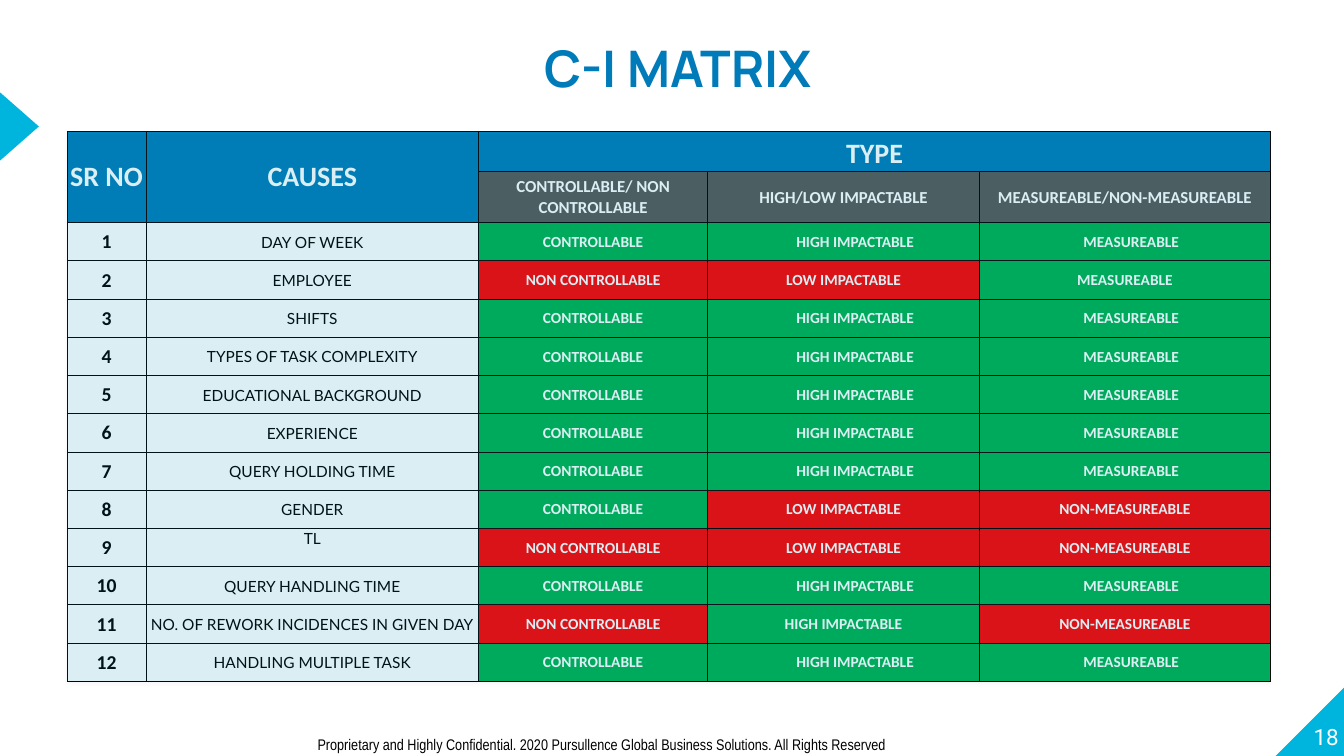
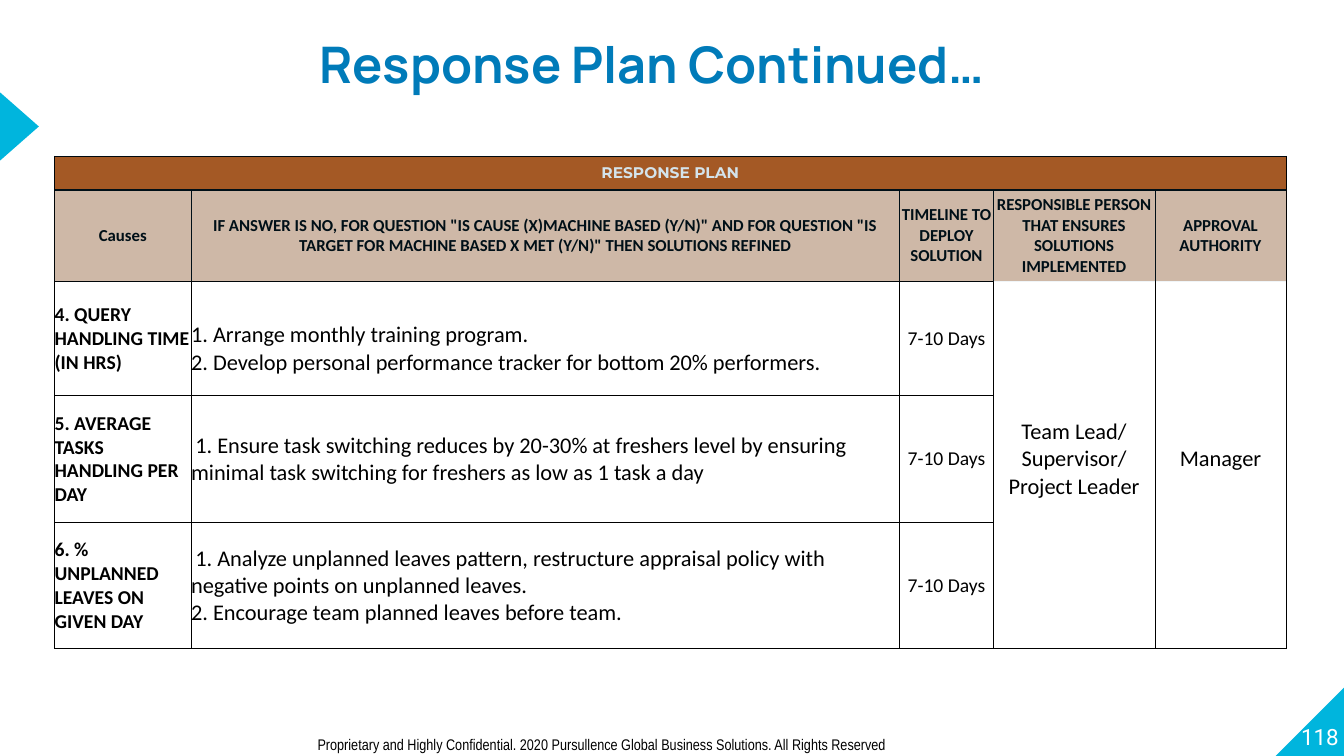
from lxml.etree import SubElement
from pptx import Presentation
from pptx.dml.color import RGBColor
from pptx.enum.shapes import MSO_SHAPE
from pptx.enum.text import MSO_ANCHOR, MSO_AUTO_SIZE, PP_ALIGN
from pptx.oxml.ns import qn
from pptx.util import Emu, Pt

EMU_PER_PX = 9525  # a 1280 x 720 px slide

BLUE = RGBColor(0x00, 0x7B, 0xB9)
CYAN = RGBColor(0x00, 0xB5, 0xDD)
NAVY = RGBColor(0x00, 0x5C, 0x8B)
GRAY = RGBColor(0x59, 0x59, 0x59)
GREEN = RGBColor(0x00, 0xB0, 0x50)
RED = RGBColor(0xFF, 0x00, 0x00)
BROWN = RGBColor(0xC6, 0x59, 0x11)
PEACH = RGBColor(0xF8, 0xCB, 0xAD)
WHITE = RGBColor(0xFF, 0xFF, 0xFF)
BLACK = RGBColor(0x00, 0x00, 0x00)

FOOTER = ("Proprietary and Highly Confidential. 2020 Pursullence Global "
          "Business Solutions. All Rights Reserved")

# Rating code: label, fill, extra left margin in px
RATINGS = {
    "C": ("CONTROLLABLE", GREEN, 0),
    "N": ("NON CONTROLLABLE", RED, 0),
    "H": ("HIGH IMPACTABLE", GREEN, 22),
    "h": ("HIGH IMPACTABLE", GREEN, 0),
    "L": ("LOW IMPACTABLE", RED, 0),
    "M": ("MEASUREABLE", GREEN, 12),
    "m": ("MEASUREABLE", GREEN, 0),
    "X": ("NON-MEASUREABLE", RED, 0),
}
CAUSES = [
    ("DAY OF WEEK", "CHM"),
    ("EMPLOYEE", "NLm"),
    ("SHIFTS", "CHM"),
    ("TYPES OF TASK COMPLEXITY", "CHM"),
    ("EDUCATIONAL BACKGROUND", "CHM"),
    ("EXPERIENCE", "CHM"),
    ("QUERY HOLDING TIME", "CHM"),
    ("GENDER", "CLX"),
    ("TL", "NLX"),
    ("QUERY HANDLING TIME", "CHM"),
    ("NO. OF REWORK INCIDENCES IN GIVEN DAY", "NhX"),
    ("HANDLING MULTIPLE TASK", "CHM"),
]
RATING_HEADS = ["CONTROLLABLE/ NON CONTROLLABLE", "HIGH/LOW IMPACTABLE",
                "MEASUREABLE/NON-MEASUREABLE"]

PLAN_HEADS = [
    "Causes",
    'IF ANSWER IS NO, FOR QUESTION "IS CAUSE (X)MACHINE BASED (Y/N)" AND FOR '
    'QUESTION "IS TARGET FOR MACHINE BASED X MET (Y/N)" THEN SOLUTIONS REFINED',
    "TIMELINE TO DEPLOY SOLUTION",
    "RESPONSIBLE PERSON THAT ENSURES SOLUTIONS IMPLEMENTED",
    "APPROVAL AUTHORITY",
]
# Cause, solutions, top margin and first-line indent of the solutions in px
PLAN = [
    ("4. QUERY HANDLING TIME (IN HRS)",
     ["1. Arrange monthly training program.",
      "2. Develop personal performance tracker for bottom 20% performers."], 20, 0),
    ("5. AVERAGE TASKS HANDLING PER DAY",
     ["1. Ensure task switching reduces by 20-30% at freshers level by ensuring "
      "minimal task switching for freshers as low as 1 task a day"], 0, 4),
    ("6. % UNPLANNED LEAVES ON GIVEN DAY",
     ["1. Analyze unplanned leaves pattern, restructure appraisal policy with "
      "negative points on unplanned leaves.",
      "2. Encourage team planned leaves before team."], 0, 4),
]


def px(length):
    return Emu(length * EMU_PER_PX)


def add_run(paragraph, text, size, color=BLACK, bold=False, font="Calibri"):
    run = paragraph.add_run()
    run.text = text
    run.font.name = font
    run.font.size = Pt(size)
    run.font.bold = bold
    run.font.color.rgb = color


def clear_margins(frame):
    frame.margin_left = frame.margin_right = 0
    frame.margin_top = frame.margin_bottom = 0


def add_shape(slide, preset, box, color):
    shape = slide.shapes.add_shape(preset, *map(px, box))
    shape.shadow.inherit = False
    shape.fill.solid()
    shape.fill.fore_color.rgb = color
    shape.line.fill.background()
    return shape


def add_tint(slide, box, color, opacity):
    """Lay a see-through rectangle over part of a table."""
    tint = add_shape(slide, MSO_SHAPE.RECTANGLE, box, color)
    fill_color = tint.element.spPr.find(qn("a:solidFill"))[0]
    SubElement(fill_color, qn("a:alpha"), val=str(opacity * 1000))
    return tint


def add_soft_shadow(shape):
    effects = shape.element.spPr.find(qn("a:effectLst"))
    shadow = SubElement(effects, qn("a:outerShdw"), blurRad=str(Pt(3.5)),
                        dist=str(Pt(2.2)), dir="5400000", rotWithShape="0")
    color = SubElement(shadow, qn("a:srgbClr"), val="000000")
    SubElement(color, qn("a:alpha"), val="32000")


def add_label(slide, box):
    label = slide.shapes.add_textbox(*map(px, box)).text_frame
    label.word_wrap = True
    return label


def move_marks_to_layout(slide):
    """Draw the corner and edge triangles once, for every slide of the layout."""
    corner = add_shape(slide, MSO_SHAPE.RIGHT_TRIANGLE, (1215, 655, 65, 65), CYAN)
    corner.element.spPr.find(qn("a:xfrm")).set("flipH", "1")
    edge = add_shape(slide, MSO_SHAPE.ISOSCELES_TRIANGLE, (-14, 102, 65, 37), CYAN)
    edge.rotation = 90
    for mark in (corner, edge):
        slide.slide_layout.shapes.element.append(mark.element)


def add_slide(prs, title_text, title_left, title_top, number):
    slide = prs.slides.add_slide(prs.slide_layouts[5])
    # Title
    title = slide.shapes.title
    title.left, title.top = px(title_left), px(title_top)
    title.width, title.height = px(932), px(73)
    frame = title.text_frame
    frame.auto_size = MSO_AUTO_SIZE.NONE
    frame.word_wrap = True
    frame.vertical_anchor = MSO_ANCHOR.TOP
    clear_margins(frame)
    heading = frame.paragraphs[0]
    heading.alignment = PP_ALIGN.CENTER
    heading.line_spacing = 1.5
    add_run(heading, title_text, 36, BLUE, True, "Manrope")
    # Slide number
    page = add_label(slide, (1211, 649, 64, 65))
    clear_margins(page)
    page.vertical_anchor = MSO_ANCHOR.BOTTOM
    page.paragraphs[0].alignment = PP_ALIGN.RIGHT
    add_run(page.paragraphs[0], number, 16, WHITE, font="Roboto")
    # Footer
    footer = add_label(slide, (293, 695, 817, 28))
    add_run(footer.paragraphs[0], FOOTER, 11, font="Arial Narrow")
    return slide


def add_grid(slide, left, top, widths, heights, margin, edge_widths):
    """Add an unfilled table; edge_widths(row, col) gives points for L, R, T, B."""
    grid = slide.shapes.add_table(len(heights), len(widths), px(left), px(top),
                                  px(sum(widths)), sum(heights)).table
    grid.first_row = grid.horz_banding = False
    for column, width in zip(grid.columns, widths):
        column.width = px(width)
    for r, height in enumerate(heights):
        grid.rows[r].height = height
        for c in range(len(widths)):
            cell = grid.cell(r, c)
            cell.margin_left = cell.margin_right = cell.margin_top = px(margin)
            cell.margin_bottom = 0
            cell.vertical_anchor = MSO_ANCHOR.MIDDLE
            add_borders(cell, edge_widths(r, c))
            cell.fill.background()
    return grid


def add_borders(cell, widths):
    properties = cell._tc.get_or_add_tcPr()
    for side, width in zip("LRTB", widths):
        line = SubElement(properties, qn(f"a:ln{side}"), w=str(Pt(width)))
        if width:
            fill = SubElement(line, qn("a:solidFill"))
            SubElement(fill, qn("a:srgbClr"), val=str(BLACK))
        else:
            SubElement(line, qn("a:noFill"))


def write_cell(cell, lines, size, color=BLACK, bold=False, font="Calibri",
               fill=None, align=PP_ALIGN.CENTER, indent=0):
    if fill is not None:
        cell.fill.solid()
        cell.fill.fore_color.rgb = fill
    frame = cell.text_frame
    for i, text in enumerate(lines):
        paragraph = frame.add_paragraph() if i else frame.paragraphs[0]
        paragraph.alignment = align
        if indent and i == 0:
            paragraph._p.get_or_add_pPr().set("indent", str(px(indent)))
        add_run(paragraph, text, size, color, bold, font)


def add_matrix(slide):
    left, top, widths = 64, 125, [75, 317, 218, 259, 277]
    heads_height, body_height = [38, 49], 437
    heights = [px(h) for h in heads_height]
    heights += [px(body_height) // len(CAUSES)] * len(CAUSES)
    matrix = add_grid(slide, left, top, widths, heights, 1,
                      lambda r, c: (0.5, 0.5, 0.5, 0.5))
    # Heads
    matrix.cell(0, 0).merge(matrix.cell(1, 0))
    matrix.cell(0, 1).merge(matrix.cell(1, 1))
    matrix.cell(0, 2).merge(matrix.cell(0, 4))
    matrix.cell(0, 2).vertical_anchor = MSO_ANCHOR.BOTTOM
    for c, head in enumerate(["SR NO", "CAUSES", "TYPE"]):
        write_cell(matrix.cell(0, c), [head], 20, WHITE, True, fill=BLUE)
    for c, head in enumerate(RATING_HEADS, 2):
        write_cell(matrix.cell(1, c), [head], 12, WHITE, True, fill=GRAY)
    # Causes and their ratings
    for number, (cause, codes) in enumerate(CAUSES, 1):
        r = number + 1
        write_cell(matrix.cell(r, 0), [str(number)], 14, bold=True)
        write_cell(matrix.cell(r, 1), [cause], 11, font="Lato")
        if cause == "TL":
            matrix.cell(r, 1).vertical_anchor = MSO_ANCHOR.TOP
        for c, code in enumerate(codes, 2):
            rating, fill, shift = RATINGS[code]
            cell = matrix.cell(r, c)
            cell.margin_left = px(1 + shift)
            write_cell(cell, [rating], 11, WHITE, True, fill=fill)
    tint = add_tint(slide, (left, top, sum(widths), sum(heads_height) + body_height),
                    CYAN, 11)
    add_soft_shadow(tint)


def plan_edges(row, col):
    """Thick outline and heading; the last two columns have no inner rules."""
    last_row, last_col, open_col = 4, 4, 3
    top = 1 if row < 2 else 0.5
    bottom = 1 if row in (0, last_row) else 0.5
    if col >= open_col:
        top = top if row < 2 else 0
        bottom = bottom if row in (0, last_row) else 0
    return (1 if col == 0 or row == 0 else 0.5,
            1 if col == last_col or row == 0 else 0.5, top, bottom)


def add_plan(slide):
    left, top, widths = 52, 149, [130, 675, 89, 154, 125]
    heights = [32, 87, 109, 121, 120]
    plan = add_grid(slide, left, top, widths, [px(h) for h in heights], 0, plan_edges)
    # Heads
    plan.cell(0, 0).merge(plan.cell(0, 4))
    write_cell(plan.cell(0, 0), ["RESPONSE PLAN"], 11, WHITE, True, "Montserrat", BROWN)
    for c, head in enumerate(PLAN_HEADS):
        write_cell(plan.cell(1, c), [head], 12, bold=True, fill=PEACH)
    # Causes and solutions
    for r, (cause, solutions, margin_top, indent) in enumerate(PLAN, 2):
        write_cell(plan.cell(r, 0), [cause], 14, bold=True, align=PP_ALIGN.LEFT)
        plan.cell(r, 1).margin_top = px(margin_top)
        write_cell(plan.cell(r, 1), solutions, 16, align=PP_ALIGN.LEFT, indent=indent)
        write_cell(plan.cell(r, 2), ["7-10 Days"], 14)
    # People in charge of all causes
    write_cell(plan.cell(3, 3), ["Team Lead/ Supervisor/ Project Leader"], 16)
    write_cell(plan.cell(3, 4), ["Manager"], 16)
    add_tint(slide, (left, top, sum(widths), sum(heights[:2])), NAVY, 17)


def main():
    prs = Presentation()
    prs.slide_width, prs.slide_height = px(1280), px(720)
    matrix_slide = add_slide(prs, "C-I MATRIX", 180, 7, "18")
    move_marks_to_layout(matrix_slide)
    add_matrix(matrix_slide)
    add_plan(add_slide(prs, "Response Plan Continued…", 155, 3, "118"))
    prs.save("out.pptx")


if __name__ == "__main__":
    main()
